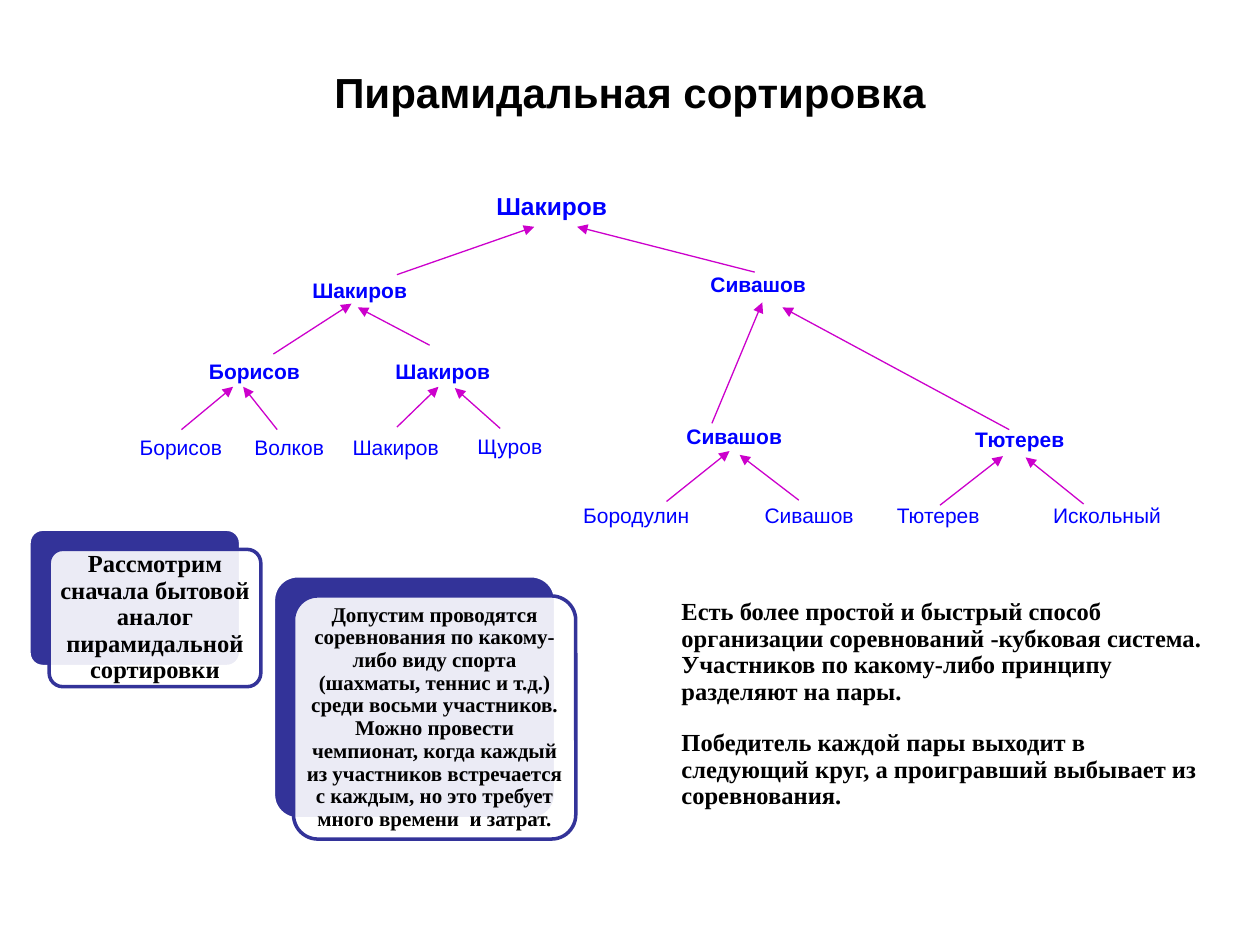
from pptx import Presentation
from pptx.dml.color import RGBColor
from pptx.enum.shapes import MSO_CONNECTOR, MSO_SHAPE
from pptx.enum.text import MSO_ANCHOR, MSO_AUTO_SIZE, PP_ALIGN
from pptx.oxml.ns import qn
from pptx.util import Inches, Pt
from lxml.etree import SubElement

BLACK = RGBColor(0x00, 0x00, 0x00)
WHITE = RGBColor(0xFF, 0xFF, 0xFF)
NAVY = RGBColor(0x33, 0x33, 0x99)
BLUE = RGBColor(0x00, 0x00, 0xFF)
MAGENTA = RGBColor(0xCC, 0x00, 0xCC)

TITLE = "Пирамидальная сортировка"
CUP_SYSTEM = [
    "Есть более простой и быстрый способ организации соревнований -кубковая "
    "система. Участников по какому-либо принципу разделяют на пары.",
    "Победитель каждой пары выходит в следующий круг, а проигравший выбывает "
    "из соревнования.",
]
CARDS = [
    (0.23, 4.2, 1.68, 1.09, 14,
     "Рассмотрим сначала бытовой аналог пирамидальной сортировки"),
    (2.17, 4.57, 2.24, 1.93, 12,
     "Допустим проводятся соревнования по какому-либо виду спорта (шахматы, "
     "теннис и т.д.) среди восьми участников. Можно провести чемпионат, когда "
     "каждый из участников встречается с каждым, но это требует много "
     "времени  и затрат."),
]
CARD_OFFSET = 0.16
CARD_INSET = 0.02
WINNERS = [
    ("Шакиров", 2.38, 2.15, 1.41),
    ("Сивашов", 5.54, 2.11, 1.36),
    ("Борисов", 1.56, 2.8, 0.95),
    ("Шакиров", 3.04, 2.8, 1.02),
    ("Сивашов", 5.35, 3.31, 1.36),
    ("Тютерев", 7.64, 3.34, 1.4),
]
PLAYERS = [
    ("Борисов", 1.01, 3.4, 1.55),
    ("Волков", 1.92, 3.4, 1.19),
    ("Шакиров", 2.7, 3.4, 1.27),
    ("Щуров", 3.69, 3.39, 1.05),
    ("Бородулин", 4.53, 3.94, 1.52),
    ("Сивашов", 5.97, 3.94, 1.36),
    ("Тютерев", 7.02, 3.94, 1.24),
    ("Искольный", 8.26, 3.94, 1.52),
]
ARROWS = [
    (3.15, 2.18, 4.24, 1.8), (5.99, 2.16, 4.58, 1.8),
    (2.17, 2.81, 2.79, 2.41), (3.41, 2.74, 2.84, 2.44),
    (5.65, 3.36, 6.05, 2.4), (8.01, 3.41, 6.21, 2.44),
    (1.44, 3.41, 1.85, 3.07), (2.2, 3.41, 1.93, 3.07),
    (3.15, 3.39, 3.48, 3.07), (3.97, 3.4, 3.61, 3.08),
    (5.29, 3.98, 5.79, 3.58), (6.34, 3.97, 5.87, 3.61),
    (7.46, 4.01, 7.96, 3.62), (8.6, 4, 8.14, 3.63),
]


def apply(obj, values):
    for name, value in values.items():
        setattr(obj, name, value)


def write(p, text, color, font, para):
    apply(p, para)
    r = p.add_run()
    r.text = text
    apply(r.font, font)
    r.font.color.rgb = color


def add_title(s):
    sp = s.shapes.title
    apply(sp, {"left": Inches(0.5), "top": Inches(0.3),
               "width": Inches(9), "height": Inches(1.25)})
    tf = sp.text_frame
    apply(tf, {"vertical_anchor": MSO_ANCHOR.MIDDLE, "word_wrap": True,
               "margin_bottom": Inches(0.44)})
    write(tf.paragraphs[0], TITLE, BLACK,
          {"name": "Arial", "size": Pt(24), "bold": True},
          {"alignment": PP_ALIGN.CENTER})


def add_body(s):
    sp = s.shapes.add_textbox(Inches(5.31), Inches(5.78), Inches(4.42), Inches(0.7))
    tf = sp.text_frame
    apply(tf, {"word_wrap": True, "vertical_anchor": MSO_ANCHOR.BOTTOM})
    for i, text in enumerate(CUP_SYSTEM):
        p = tf.add_paragraph() if i else tf.paragraphs[0]
        write(p, text, BLACK,
              {"name": "Times New Roman", "size": Pt(14), "bold": True},
              {"alignment": PP_ALIGN.LEFT, "line_spacing": 0.9,
               "space_before": Pt(14.5 if i else 0)})


def add_round_rect(s, box, fill, line):
    sp = s.shapes.add_shape(MSO_SHAPE.ROUNDED_RECTANGLE, *map(Inches, box))
    sp.shadow.inherit = False
    sp.adjustments[0] = 0.1
    sp.fill.solid()
    sp.fill.fore_color.rgb = fill
    sp.line.color.rgb = line
    sp.line.width = Pt(2)
    return sp


def add_card(s, left, top, width, height, size, text):
    add_round_rect(s, (left, top, width, height), NAVY, WHITE)
    front = (left + CARD_OFFSET, top + CARD_OFFSET, width, height)
    sp = add_round_rect(s, front, WHITE, NAVY)
    color = sp.fill._xPr.find(qn("a:solidFill"))[0]
    SubElement(color, qn("a:alpha"), val="90000")
    tf = sp.text_frame
    apply(tf, {"word_wrap": True, "vertical_anchor": MSO_ANCHOR.MIDDLE})
    apply(tf, {f"margin_{side}": Inches(CARD_INSET)
               for side in ("left", "top", "right", "bottom")})
    write(tf.paragraphs[0], text, BLACK,
          {"name": "Times New Roman", "size": Pt(size), "bold": True},
          {"alignment": PP_ALIGN.CENTER, "line_spacing": 0.9})


def add_name(s, text, left, top, width, size=12, bold=False):
    height = 0.1 + size / 60
    sp = s.shapes.add_textbox(*map(Inches, (left, top, width, height)))
    tf = sp.text_frame
    apply(tf, {"word_wrap": True, "auto_size": MSO_AUTO_SIZE.SHAPE_TO_FIT_TEXT})
    write(tf.paragraphs[0], text, BLUE,
          {"name": "Arial", "size": Pt(size), "bold": bold},
          {"alignment": PP_ALIGN.JUSTIFY})


def add_arrow(s, ends):
    sp = s.shapes.add_connector(MSO_CONNECTOR.STRAIGHT, *map(Inches, ends))
    sp.line.color.rgb = MAGENTA
    sp.line.width = Pt(0.75)
    SubElement(sp.line._get_or_add_ln(), qn("a:tailEnd"), type="triangle")
    SubElement(sp._element.spPr, qn("a:effectLst"))


def main():
    prs = Presentation()
    apply(prs, {"slide_width": Inches(10), "slide_height": Inches(7.5)})
    s = prs.slides.add_slide(prs.slide_layouts[5])
    add_title(s)
    add_body(s)
    for card in CARDS:
        add_card(s, *card)
    add_name(s, "Шакиров", 3.84, 1.47, 1.42, size=14, bold=True)
    for winner in WINNERS:
        add_name(s, *winner, bold=True)
    for player in PLAYERS:
        add_name(s, *player)
    for ends in ARROWS:
        add_arrow(s, ends)
    prs.save("out.pptx")


main()
